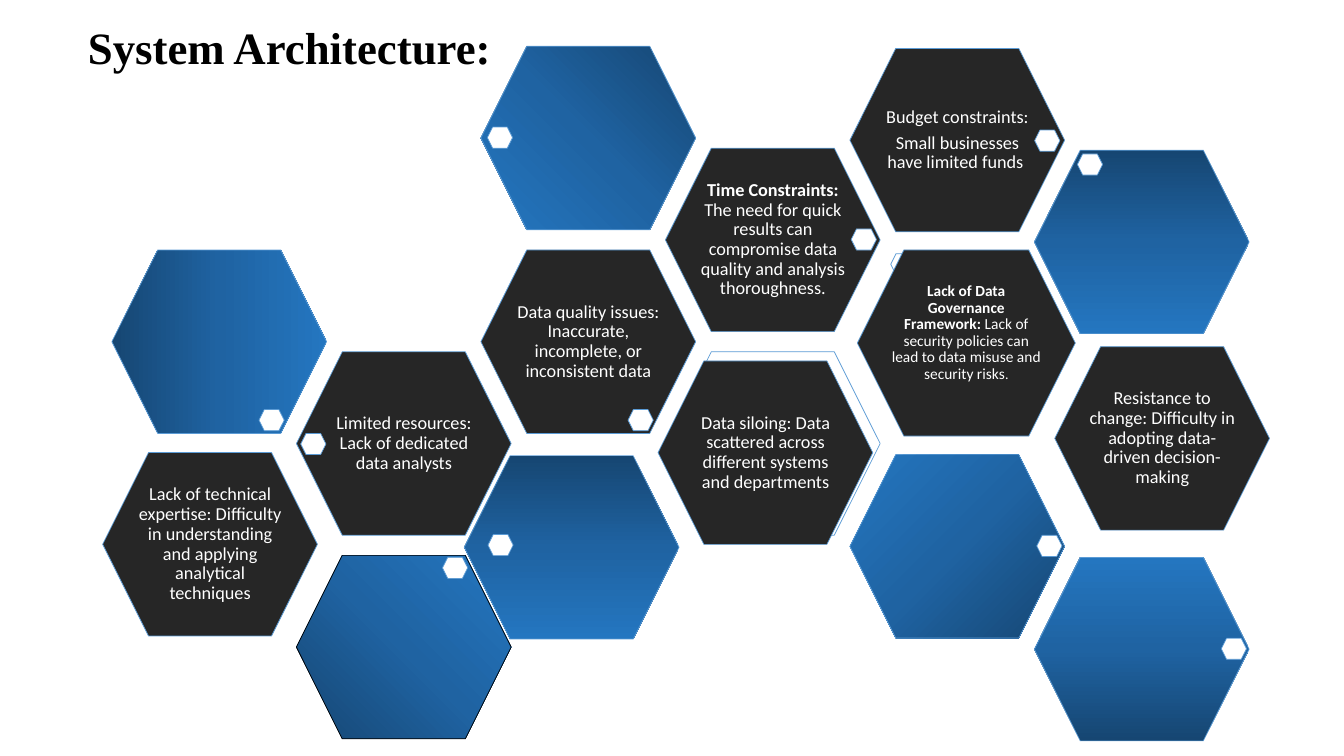
from copy import deepcopy

from lxml.etree import SubElement
from pptx import Presentation
from pptx.dml.color import RGBColor
from pptx.enum.shapes import MSO_SHAPE
from pptx.enum.text import MSO_ANCHOR, PP_ALIGN
from pptx.oxml.ns import qn
from pptx.util import Inches, Pt

DARK, EDGE, WHITE, BLACK = "262626", "5B9BD5", "FFFFFF", "000000"
BLUES = [(0, "164672"), (0.5, "1F63A2"), (1, "2476C0")]
CORNER = "corner"


def paint(code):
    return RGBColor.from_string(code)


def assign(target, values):
    for name, value in values.items():
        setattr(target, name, value)


class Comb:
    """Honeycomb slide: columns and rows count cells from the top left one."""
    left, top = 1.11, 0.46
    step, rise = 1.83, 1.01
    wide, high = 2.13, 1.82
    dot_wide, dot_high = 0.25, 0.21
    inset = 0.155
    frame = dict(word_wrap=True, vertical_anchor=MSO_ANCHOR.MIDDLE,
                 margin_left=0, margin_right=0,
                 margin_top=Inches(0.02), margin_bottom=Inches(0.02))
    para = dict(alignment=PP_ALIGN.CENTER, line_spacing=0.9, space_after=Pt(4.5))

    def __init__(self, slide):
        self.slide = slide

    def place(self, col, row):
        return self.left + col * self.step, self.top + row * self.rise

    def hexagon(self, x, y, wide, high, fill, edge=EDGE):
        shape = self.slide.shapes.add_shape(
            MSO_SHAPE.HEXAGON, *map(Inches, (x, y, wide, high)))
        shape.adjustments[0] = 0.25
        shape.shadow.inherit = False
        shape.line.width = Pt(0.5)
        shape.line.color.rgb = paint(edge)
        if fill:
            shape.fill.solid()
            shape.fill.fore_color.rgb = paint(fill)
        return shape

    def dot(self, col, row, across, down):
        """Small hexagon, placed by shares of its cell's width and height."""
        x, y = self.place(col, row)
        self.hexagon(x + across * self.wide, y + down * self.high,
                     self.dot_wide, self.dot_high, WHITE)

    def plain(self, col, row, fill, scale=1):
        self.hexagon(*self.place(col, row), self.wide * scale,
                     self.high * scale, fill)

    def blue(self, col, row, turn, dot, edge=EDGE):
        """Cell with a gradient, turned clockwise by degrees or from a corner."""
        cell = self.hexagon(*self.place(col, row), self.wide, self.high, None, edge)
        fill = cell.fill
        fill.gradient()
        grad = cell.element.spPr.find(qn("a:gradFill"))
        stops = grad.find(qn("a:gsLst"))
        stops.append(deepcopy(stops[-1]))
        for stop, (spot, code) in zip(fill.gradient_stops, BLUES):
            stop.position = spot
            stop.color.rgb = paint(code)
        if turn == CORNER:
            grad.remove(grad.find(qn("a:lin")))
            focus = SubElement(grad, qn("a:path"), {"path": "circle"})
            SubElement(focus, qn("a:fillToRect"), {"l": "100000", "t": "100000"})
        else:
            fill.gradient_angle = -turn % 360
        self.dot(col, row, *dot)

    def note(self, col, row, lines, dot=None, scale=1, size=13, lift=0):
        """Dark cell with text; lines hold paragraphs as lists of (text, format)."""
        self.plain(col, row, DARK, scale)
        x, y = self.place(col, row)
        wide, high = self.wide * scale, self.high * scale
        share = 1 - 2 * self.inset
        box = (x + self.inset * wide, y + self.inset * high, wide * share, high * share)
        style = dict(size=Pt(size), name="Calibri", bold=False)
        frame = self.frame | dict(margin_bottom=Inches(0.02 + lift))
        self.text(box, lines, style, WHITE, frame, self.para)
        if dot:
            self.dot(col, row, *dot)

    def title(self, words):
        page = 13.33, 7.5
        box = [share * page[i % 2] for i, share in enumerate((0.058, 0.019, 0.734, 0.085))]
        style = dict(size=Pt(32), name="Times New Roman", bold=True)
        self.text(box, [[(words, {})]], style, BLACK, dict(word_wrap=True), {})

    def text(self, box, lines, style, colour, frame, para):
        area = self.slide.shapes.add_textbox(*map(Inches, box)).text_frame
        assign(area, frame)
        for i, line in enumerate(lines):
            item = area.add_paragraph() if i else area.paragraphs[0]
            assign(item, para)
            for words, extra in line:
                run = item.add_run()
                run.text = words
                assign(run.font, style | extra)
                run.font.color.rgb = paint(colour)


def main():
    deck = Presentation()
    assign(deck, dict(slide_width=Inches(13.33), slide_height=Inches(7.5)))
    comb = Comb(deck.slides.add_slide(deck.slide_layouts[6]))
    bold = dict(bold=True)

    comb.note(1, 3, [[("Limited resources: Lack of dedicated data analysts", {})]],
              (0.02, 0.445))
    comb.blue(0, 2, 0, (0.685, 0.87))
    comb.note(2, 2, [[("Data quality issues: Inaccurate, incomplete, or "
                       "inconsistent data", {})]], (0.685, 0.87))
    comb.plain(3, 3, WHITE)
    comb.note(2.96, 3.09, [[("Data siloing: Data scattered across different "
                             "systems and departments", {})]])
    comb.blue(2, 0, 135, (0.03, 0.44))
    comb.note(3, 1, [[("Time Constraints:", bold),
                      (" The need for quick results can compromise data quality "
                       "and analysis thoroughness.", {})]], (0.865, 0.44))
    comb.blue(1.91, 4.02, 90, (0.11, 0.43))
    comb.dot(4, 2, 0.19, 0.02)
    comb.note(4, 0.02, [[("Budget constraints:", {})],
                        [("Small businesses have limited funds ", {})]],
              (0.86, 0.445))
    comb.blue(5, 1.02, 90, (0.2, 0.02))
    comb.note(4.04, 2, [[("Lack of Data Governance Framework:", bold),
                         (" Lack of security policies can lead to data misuse "
                          "and security risks", {}),
                         (".", dict(size=Pt(10)))]],
              scale=1.015, size=11, lift=0.2)
    comb.blue(4, 4.01, CORNER, (0.87, 0.44))
    comb.note(-0.05, 3.99, [[("Lack of technical expertise: Difficulty in "
                              "understanding and applying analytical techniques", {})]])
    comb.blue(1, 5, 315, (0.68, 0.01), BLACK)
    comb.note(5.11, 2.95, [[("Resistance to change: Difficulty in adopting "
                             "data-driven decision-making", {})]])
    comb.blue(5, 5.02, 270, (0.87, 0.44))
    comb.title("System Architecture:")
    deck.save("out.pptx")


if __name__ == "__main__":
    main()
